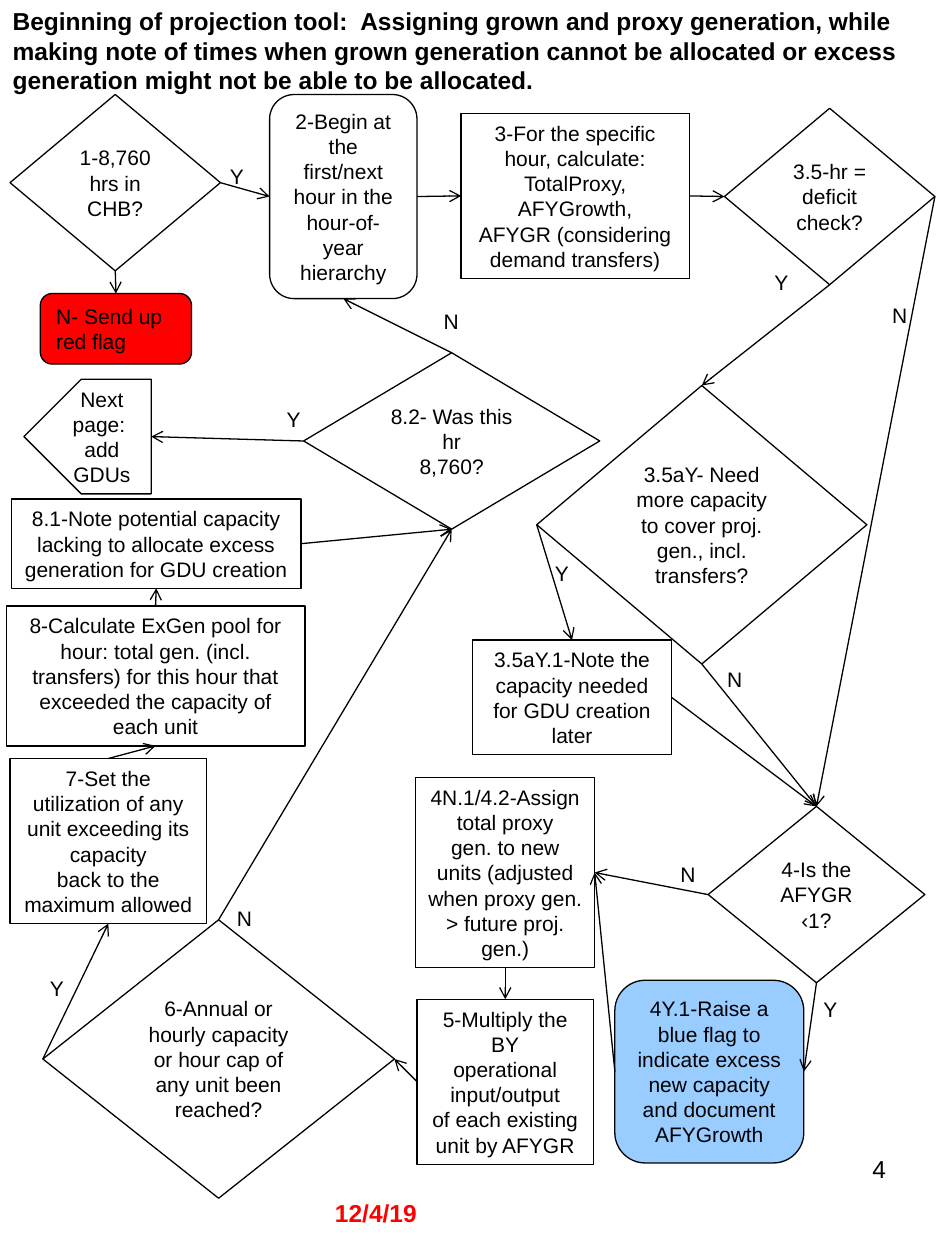
import pptx
import pptx.util
import pptx.dml.color
import pptx.enum.shapes
import pptx.enum.text
import pptx.oxml.ns
from lxml import etree

PX = 9144  # 100 px to the inch
COLORS = {"ink": "000000", "red": "FF0000", "blue": "99CCFF"}
SHAPE = pptx.enum.shapes.MSO_SHAPE
ALIGN = pptx.enum.text.PP_ALIGN
ANCHOR = pptx.enum.text.MSO_ANCHOR
TOP, LEFT, BOTTOM, RIGHT = range(4)  # connection sites


def emu(*lengths):
    return [pptx.util.Emu(n * PX) for n in lengths]


def rgb(name):
    return pptx.dml.color.RGBColor.from_string(COLORS[name])


def write(shape, lines, size=12, color="ink", bold=False, align=ALIGN.CENTER, anchor=ANCHOR.TOP):
    tf = shape.text_frame
    tf.word_wrap = True
    tf.auto_size = pptx.enum.text.MSO_AUTO_SIZE.NONE
    tf.vertical_anchor = anchor
    for i, line in enumerate(lines):
        p = tf.add_paragraph() if i else tf.paragraphs[0]
        p.alignment = align
        r = p.add_run()
        r.text = line
        r.font.name = "Arial"
        r.font.size = pptx.util.Pt(size)
        r.font.bold = bold
        r.font.color.rgb = rgb(color)


def node(s, origin, kind, box, *lines, fill=None, align=ALIGN.CENTER):
    x, y, w, h = box
    sp = s.shapes.add_shape(kind, *emu(origin[0] + x, origin[1] + y, w, h))
    sp.shadow.inherit = False
    if fill:
        sp.fill.solid()
        sp.fill.fore_color.rgb = rgb(fill)
    else:
        sp.fill.background()
    sp.line.color.rgb = rgb("ink")
    sp.line.width = pptx.util.Pt(0.75)
    write(sp, lines, align=align, anchor=ANCHOR.MIDDLE)
    return sp


def label(s, origin, x, y, answer):
    width = {"Y": 42, "N": 58}[answer]
    write(s.shapes.add_textbox(*emu(origin[0] + x, origin[1] + y, width, 30)), [answer])


def site_point(shape, site):
    x, y, w, h = shape.left, shape.top, shape.width, shape.height
    return {TOP: (x + w // 2, y), LEFT: (x, y + h // 2),
            BOTTOM: (x + w // 2, y + h), RIGHT: (x + w, y + h // 2)}[site]


def arrow(s, start, start_site, end, end_site, glue_end=True):
    c = s.shapes.add_connector(pptx.enum.shapes.MSO_CONNECTOR.STRAIGHT,
                               *site_point(start, start_site), *site_point(end, end_site))
    c.begin_connect(start, start_site)
    if glue_end:
        c.end_connect(end, end_site)
    c.line.color.rgb = rgb("ink")
    c.line.width = pptx.util.Pt(0.75)
    qn = pptx.oxml.ns.qn
    etree.SubElement(c.line._get_or_add_ln(), qn("a:tailEnd"), type="arrow")
    etree.SubElement(c.element.spPr, qn("a:effectLst"))


def header(s, box):
    title = s.shapes.title
    title.left, title.top, title.width, title.height = emu(*box)
    write(title, ["Beginning of projection tool:  Assigning grown and proxy generation, while "
                  "making note of times when grown generation cannot be allocated or excess "
                  "generation might not be able to be allocated."],
          size=14, bold=True, align=ALIGN.LEFT)


def hour_intake(s, at):
    nodes = {
        "chb": node(s, at, SHAPE.FLOWCHART_DECISION, (0, 0, 167, 140), "1-8,760 hrs in CHB?"),
        "red_flag": node(s, at, SHAPE.FLOWCHART_ALTERNATE_PROCESS, (24, 158, 120, 56),
                         "N- Send up red flag", fill="red", align=ALIGN.LEFT),
        "begin": node(s, at, SHAPE.FLOWCHART_ALTERNATE_PROCESS, (206, 0, 117, 162),
                      "2-Begin at the first/next", "hour in the hour-of-year hierarchy"),
        "calculate": node(s, at, SHAPE.FLOWCHART_PROCESS, (358, 15, 181, 131),
                          "3-For the specific hour, calculate:", "TotalProxy, AFYGrowth,",
                          "AFYGR (considering demand transfers)"),
    }
    label(s, at, 159, 50, "Y")
    return nodes


def deficit_check(s, at):
    nodes = {
        "deficit": node(s, at, SHAPE.FLOWCHART_DECISION, (200, 0, 167, 140),
                        "3.5-hr = deficit", "check?"),
        "need": node(s, at, SHAPE.FLOWCHART_DECISION, (51, 220, 262, 221),
                     "3.5aY- Need more capacity to cover proj. gen., incl. transfers?"),
        "note": node(s, at, SHAPE.FLOWCHART_PROCESS, (0, 422, 158, 91),
                     "3.5aY.1-Note the capacity needed for GDU creation later"),
    }
    for x, y, answer in ((310, 149, "N"), (224, 123, "Y"), (50, 354, "Y"), (179, 438, "N")):
        label(s, at, x, y, answer)
    return nodes


def growth_assignment(s, at):
    nodes = {
        "afygr": node(s, at, SHAPE.FLOWCHART_DECISION, (232, 23, 172, 140),
                      "4-Is the", "AFYGR", "‹1?"),
        "blue_flag": node(s, at, SHAPE.FLOWCHART_ALTERNATE_PROCESS, (158, 161, 150, 145),
                          "4Y.1-Raise a blue flag to indicate excess new capacity and "
                          "document AFYGrowth", fill="blue"),
        "assign": node(s, at, SHAPE.RECTANGLE, (0, 0, 142, 151), "4N.1/4.2-Assign total proxy",
                       "gen. to new units (adjusted when proxy gen. > future proj. gen.)"),
        "multiply": node(s, at, SHAPE.FLOWCHART_PROCESS, (1, 176, 140, 131), "5-Multiply the BY",
                         "operational input/output", "of each existing unit by AFYGR"),
    }
    label(s, at, 308, 169, "Y")
    label(s, at, 187, 62, "N")
    return nodes


def capacity_limits(s, at):
    nodes = {
        "reached": node(s, at, SHAPE.FLOWCHART_DECISION, (29, 334, 279, 221),
                        "6-Annual or hourly capacity or hour cap of any unit been reached?"),
        "set_back": node(s, at, SHAPE.FLOWCHART_PROCESS, (3, 206, 156, 131),
                         "7-Set the utilization of any", "unit exceeding its capacity",
                         "back to the maximum allowed"),
        "pool": node(s, at, SHAPE.FLOWCHART_PROCESS, (0, 85, 237, 111),
                     "8-Calculate ExGen pool for hour: total gen. (incl. transfers) for this "
                     "hour that exceeded the capacity of each unit"),
        "lacking": node(s, at, SHAPE.FLOWCHART_PROCESS, (4, 0, 230, 71),
                        "8.1-Note potential capacity lacking to allocate excess generation "
                        "for GDU creation"),
    }
    label(s, at, 19, 373, "Y")
    label(s, at, 160, 318, "N")
    return nodes


def hour_loop(s, at):
    nodes = {
        "last_hour": node(s, at, SHAPE.FLOWCHART_DECISION, (222, 40, 235, 140),
                          "8.2- Was this hr", "8,760?"),
        "next_page": node(s, at, SHAPE.PENTAGON, (0, 61, 101, 91), "Next page:  add GDUs"),
    }
    nodes["next_page"].element.spPr.get_or_add_xfrm().set("flipH", "1")
    label(s, at, 310, 0, "N")
    label(s, at, 193, 78, "Y")
    return nodes


def footer(s, at):
    x, y = at
    write(s.shapes.add_textbox(*emu(x, y + 35, 238, 34)), ["12/4/19"],
          size=14, color="red", bold=True, align=ALIGN.LEFT)
    write(s.shapes.add_textbox(*emu(x + 282, y, 175, 69)), ["4"], size=14, align=ALIGN.RIGHT)


def flow(s, nodes):
    for start, start_site, end, end_site in (
            ("chb", RIGHT, "begin", LEFT), ("chb", BOTTOM, "red_flag", TOP),
            ("begin", RIGHT, "calculate", LEFT), ("calculate", RIGHT, "deficit", LEFT),
            ("deficit", RIGHT, "afygr", TOP), ("deficit", BOTTOM, "need", TOP),
            ("need", LEFT, "note", TOP), ("need", BOTTOM, "afygr", TOP),
            ("note", RIGHT, "afygr", TOP), ("afygr", LEFT, "assign", RIGHT),
            ("afygr", BOTTOM, "blue_flag", RIGHT), ("blue_flag", LEFT, "assign", RIGHT),
            ("assign", BOTTOM, "multiply", TOP), ("multiply", LEFT, "reached", RIGHT),
            ("reached", LEFT, "set_back", BOTTOM), ("reached", TOP, "last_hour", BOTTOM),
            ("set_back", TOP, "pool", BOTTOM), ("pool", TOP, "lacking", BOTTOM),
            ("lacking", RIGHT, "last_hour", BOTTOM), ("last_hour", TOP, "begin", BOTTOM)):
        arrow(s, nodes[start], start_site, nodes[end], end_site)
    # The mirrored tag has its sites swapped, so this end stays free
    arrow(s, nodes["last_hour"], LEFT, nodes["next_page"], RIGHT, glue_end=False)


def main():
    prs = pptx.Presentation()
    prs.slide_width, prs.slide_height = emu(750, 1000)
    s = prs.slides.add_slide(prs.slide_layouts[5])
    header(s, (0, 0, 750, 81))
    nodes = {}
    for region, at in ((hour_intake, (8, 75)), (deficit_check, (375, 86)),
                       (growth_assignment, (330, 617)), (capacity_limits, (5, 396)),
                       (hour_loop, (19, 240))):
        nodes.update(region(s, at))
    flow(s, nodes)
    footer(s, (256, 911))
    prs.save("out.pptx")


if __name__ == "__main__":
    main()
